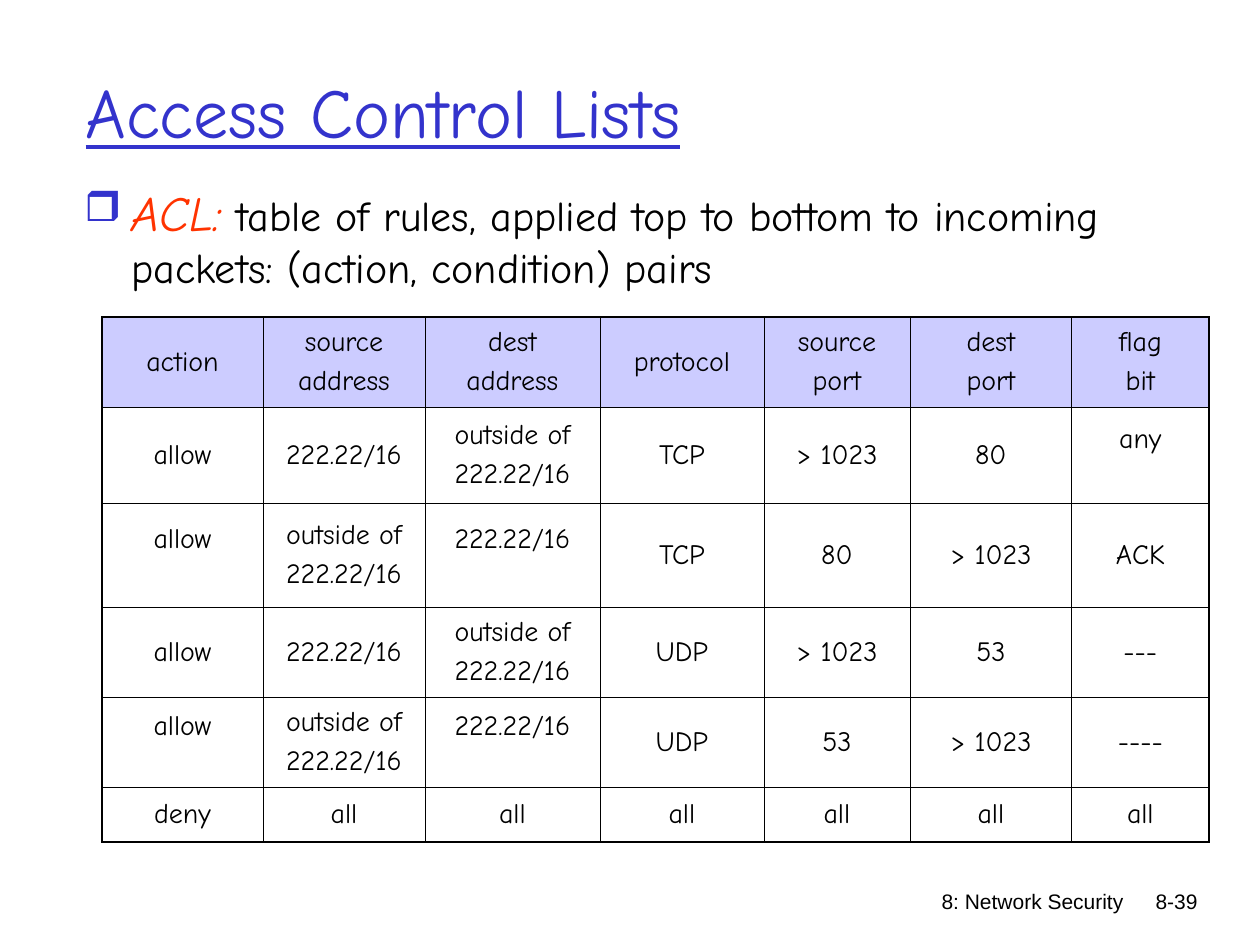
from dataclasses import dataclass

from lxml.etree import SubElement
from pptx import Presentation
from pptx.dml.color import RGBColor
from pptx.enum.text import MSO_ANCHOR, PP_ALIGN
from pptx.oxml.ns import qn
from pptx.util import Emu, Pt

PX_PER_INCH = 126


@dataclass(frozen=True)
class Theme:
    ink: str = "000000"
    accent: str = "3333CC"
    term: str = "FF3300"
    header_fill: str = "CCCCFF"
    text_font: str = "Comic Neue"
    footer_font: str = "Arial"
    title_size: int = 40
    term_size: int = 28
    body_size: int = 24
    table_size: int = 16
    footer_size: int = 12
    outer_line: float = 1.08
    inner_line: float = 0.45


@dataclass(frozen=True)
class Area:
    left: int
    top: int
    width: int
    height: int


@dataclass(frozen=True)
class Footer:
    text: str
    area: Area


THEME = Theme()
TITLE_AREA = Area(73, 32, 1071, 157)
BODY_AREA = Area(72, 176, 1071, 140)
TABLE_AREA = Area(102, 317, 1107, 525)
FOOTERS = (
    Footer("8: Network Security", Area(737, 882, 399, 63)),
    Footer("8-39", Area(1109, 882, 101, 40)),
)
COLUMN_WIDTHS = (161, 162, 175, 164, 146, 162, 137)
ROW_HEIGHTS = (90, 96, 104, 90, 90, 55)
INSIDE, OUTSIDE = "222.22/16", "outside of\n222.22/16"
RULES = (
    ("action", "source\naddress", "dest\naddress", "protocol",
     "source\nport", "dest\nport", "flag\nbit"),
    ("allow", INSIDE, OUTSIDE, "TCP", "> 1023", "80", "any"),
    ("allow", OUTSIDE, INSIDE, "TCP", "80", "> 1023", "ACK"),
    ("allow", INSIDE, OUTSIDE, "UDP", "> 1023", "53", "---"),
    ("allow", OUTSIDE, INSIDE, "UDP", "53", "> 1023", "----"),
    ("deny",) + ("all",) * 6,
)
RAISED_CELLS = {(1, 6), (2, 0), (2, 2), (4, 0), (4, 2)}
RAISED_MARGIN = 38


def px(length: int) -> Emu:
    return Emu(round(length * 914400 / PX_PER_INCH))


def bounds(area: Area) -> tuple[Emu, Emu, Emu, Emu]:
    return px(area.left), px(area.top), px(area.width), px(area.height)


def style_span(span, size: int, color: str, font: str = THEME.text_font) -> None:
    span.font.size = Pt(size)
    span.font.name = font
    span.font.color.rgb = RGBColor.from_string(color)


def add_title(slide, text: str) -> None:
    title = slide.shapes.title
    title.left, title.top, title.width, title.height = bounds(TITLE_AREA)
    title.text_frame.text = text
    title.text_frame.vertical_anchor = MSO_ANCHOR.MIDDLE
    para = title.text_frame.paragraphs[0]
    para.alignment = PP_ALIGN.LEFT
    style_span(para.runs[0], THEME.title_size, THEME.accent)
    para.runs[0].font.underline = True


def add_bullet(para, symbol: str, indent: int) -> None:
    properties = para._p.get_or_add_pPr()
    properties.set("marL", str(px(indent)))
    properties.set("indent", str(-px(indent)))
    color = SubElement(properties, qn("a:buClr"))
    SubElement(color, qn("a:srgbClr"), val=THEME.accent)
    SubElement(properties, qn("a:buSzPct"), val="85000")
    SubElement(properties, qn("a:buChar"), char=symbol)


def add_definition(slide, term: str, meaning: str) -> None:
    box = slide.shapes.add_textbox(*bounds(BODY_AREA))
    box.text_frame.word_wrap = True
    para = box.text_frame.paragraphs[0]
    add_bullet(para, "❒", 47)
    term_span, meaning_span = para.add_run(), para.add_run()
    term_span.text, meaning_span.text = term, meaning
    style_span(term_span, THEME.term_size, THEME.term)
    term_span.font.italic = True
    style_span(meaning_span, THEME.body_size, THEME.ink)


def set_borders(cell, row: int, column: int) -> None:
    """Rule the cell with thicker lines on the outer edge of the table."""
    edges = {
        "a:lnL": column == 0,
        "a:lnR": column == len(COLUMN_WIDTHS) - 1,
        "a:lnT": row == 0,
        "a:lnB": row == len(ROW_HEIGHTS) - 1,
    }
    properties = cell._tc.get_or_add_tcPr()
    for position, (tag, is_outer) in enumerate(edges.items()):
        width = Pt(THEME.outer_line if is_outer else THEME.inner_line)
        line = SubElement(properties, qn(tag), w=str(width))
        fill = SubElement(line, qn("a:solidFill"))
        SubElement(fill, qn("a:srgbClr"), val=THEME.ink)
        properties.insert(position, line)


def fill_cell(cell, text: str, row: int, column: int) -> None:
    cell.text_frame.text = text
    cell.vertical_anchor = MSO_ANCHOR.MIDDLE
    if (row, column) in RAISED_CELLS:
        cell.margin_bottom = px(RAISED_MARGIN)
    for index, para in enumerate(cell.text_frame.paragraphs):
        para.alignment = PP_ALIGN.CENTER
        if index:
            para.space_before = Pt(4)
        style_span(para.runs[0], THEME.table_size, THEME.ink)
    if row == 0:
        cell.fill.solid()
        cell.fill.fore_color.rgb = RGBColor.from_string(THEME.header_fill)
    else:
        cell.fill.background()
    set_borders(cell, row, column)


def add_rule_table(slide) -> None:
    table = slide.shapes.add_table(
        len(ROW_HEIGHTS), len(COLUMN_WIDTHS), *bounds(TABLE_AREA)).table
    table.first_row = table.horz_banding = False
    for column, width in zip(table.columns, COLUMN_WIDTHS):
        column.width = px(width)
    for row, height in zip(table.rows, ROW_HEIGHTS):
        row.height = px(height)
    for row, texts in enumerate(RULES):
        for column, text in enumerate(texts):
            fill_cell(table.cell(row, column), text, row, column)


def add_footer(slide, footer: Footer) -> None:
    box = slide.shapes.add_textbox(*bounds(footer.area))
    box.text_frame.word_wrap = True
    box.text_frame.text = footer.text
    para = box.text_frame.paragraphs[0]
    para.alignment = PP_ALIGN.RIGHT
    style_span(para.runs[0], THEME.footer_size, THEME.ink, THEME.footer_font)


def main() -> None:
    deck = Presentation()
    deck.slide_width, deck.slide_height = px(1260), px(945)
    slide = deck.slides.add_slide(deck.slide_layouts.get_by_name("Title Only"))
    add_title(slide, "Access Control Lists")
    add_definition(
        slide, "ACL:",
        " table of rules, applied top to bottom to incoming packets: "
        "(action, condition) pairs")
    add_rule_table(slide)
    for footer in FOOTERS:
        add_footer(slide, footer)
    deck.save("out.pptx")


if __name__ == "__main__":
    main()
